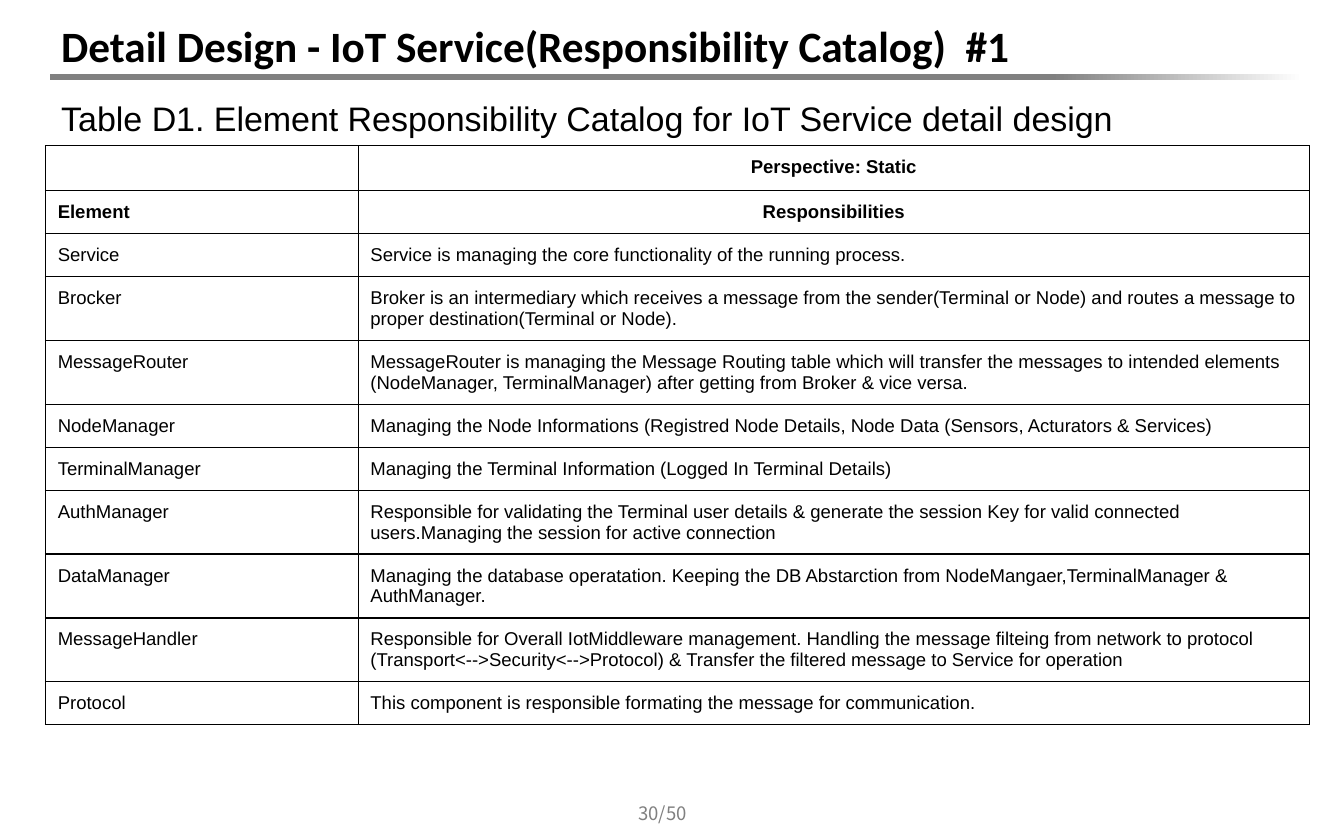
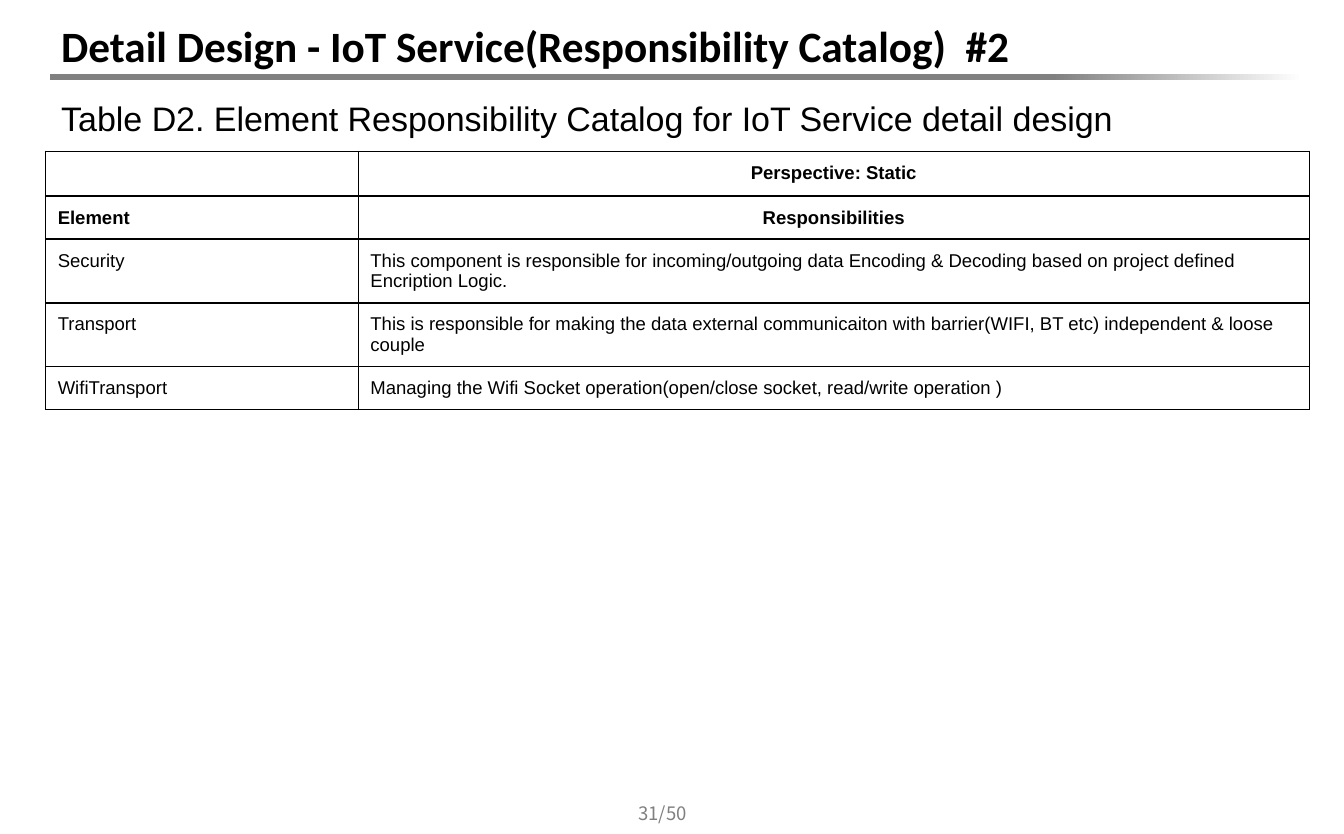
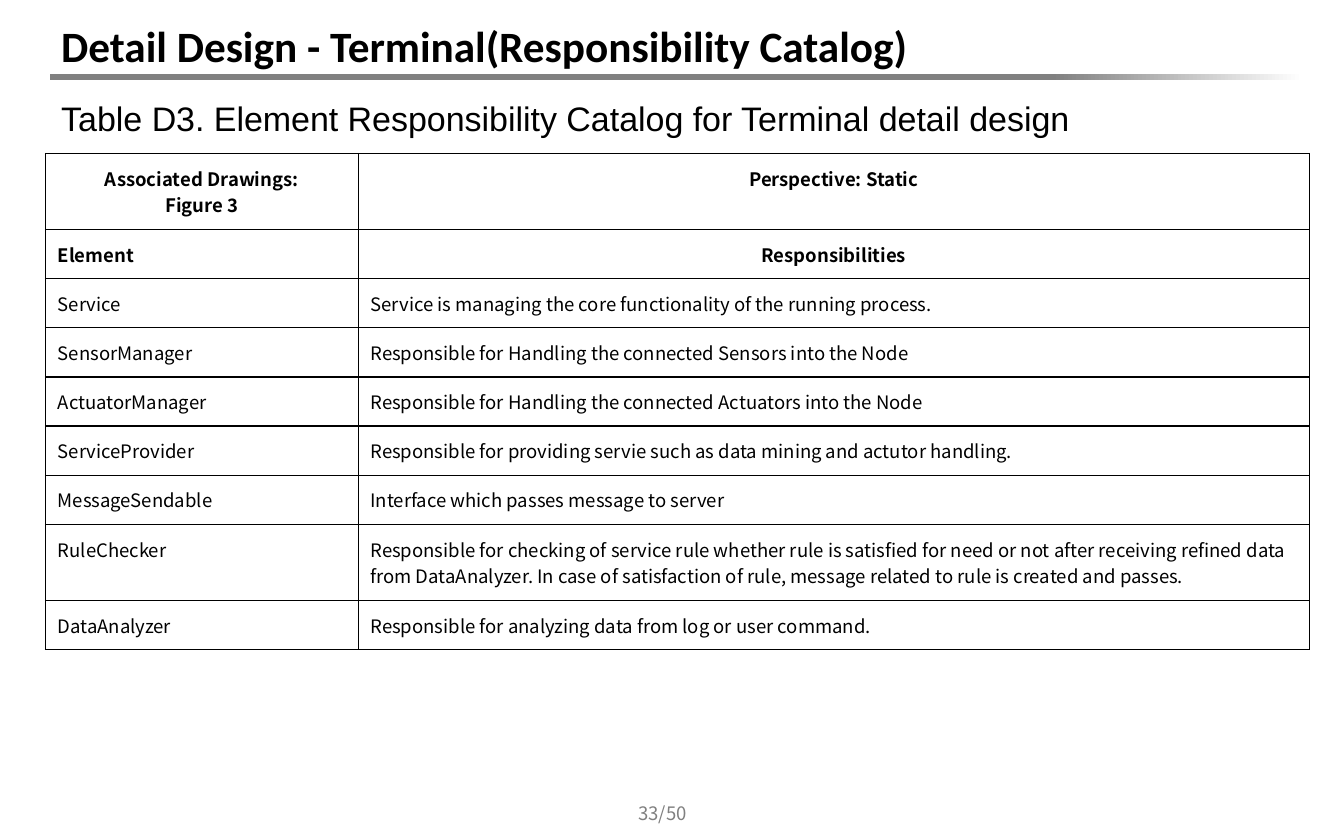
from copy import deepcopy
from dataclasses import dataclass

from lxml.etree import SubElement
from pptx import Presentation
from pptx.dml.color import RGBColor
from pptx.enum.shapes import MSO_SHAPE as Preset
from pptx.enum.text import MSO_ANCHOR as Anchor, PP_ALIGN as Align
from pptx.oxml.ns import qn
from pptx.util import Inches, Pt

WIDTH, HEIGHT = Inches(12.08), Inches(7.5)
INK, GRAY, PAPER = "000000", "808080", "FFFFFF"
SANS, TITLE_FONT, KOREAN = "Arial", "Calibri", "Noto Sans CJK KR"
PAGE_TOTAL = 50
CELL_SIZE = 12
ELEMENT_SHARE = 24.74
FIRST_ROW, OTHER_ROW = 5.33, 3.33


@dataclass(frozen=True)
class Box:
    """Shares of the slide's width and height, in percent."""
    left: float
    top: float
    width: float
    height: float

    def lengths(self) -> tuple[int, int, int, int]:
        return (across(self.left), down(self.top),
                across(self.width), down(self.height))


@dataclass(frozen=True)
class Catalog:
    title: str
    caption: str
    page: int
    top: float
    font: str
    drawings: str
    duties: tuple[tuple[str, str], ...]


TITLE_BOX = Box(3.73, 1.87, 93.21, 7.2)
RULE_BOX = Box(3.73, 8.93, 93.21, 0.67)
CAPTION_BOX = Box(3.73, 11.07, 93.21, 84.27)
PAGE_BOX = Box(44.78, 95.87, 9.02, 3.2)

SERVICE_DUTY = ("Service", "Service is managing the core functionality of the running process.")

CATALOGS = (
    Catalog(
        "Detail Design - IoT Service(Responsibility Catalog)  #1",
        "Table D1. Element Responsibility Catalog for IoT Service detail design",
        30, 17.47, SANS, "",
        (
            SERVICE_DUTY,
            ("Brocker", "Broker is an intermediary which receives a message from the sender(Terminal or Node) "
             "and routes a message to proper destination(Terminal or Node)."),
            ("MessageRouter", "MessageRouter is managing the Message Routing table which will transfer the messages "
             "to intended elements (NodeManager, TerminalManager) after getting from Broker & vice versa."),
            ("NodeManager", "Managing the Node Informations (Registred Node Details, "
             "Node Data (Sensors, Acturators & Services)"),
            ("TerminalManager", "Managing the Terminal Information (Logged In Terminal Details)"),
            ("AuthManager", "Responsible for validating the Terminal user details & generate the session Key "
             "for valid connected users.Managing the session for active connection"),
            ("DataManager", "Managing the database operatation. Keeping the DB Abstarction from "
             "NodeMangaer,TerminalManager & AuthManager."),
            ("MessageHandler", "Responsible for Overall IotMiddleware management. Handling the message filteing "
             "from network to protocol (Transport<-->Security<-->Protocol) & Transfer the filtered message "
             "to Service for operation"),
            ("Protocol", "This component is responsible formating the message for communication."),
        ),
    ),
    Catalog(
        "Detail Design - IoT Service(Responsibility Catalog)  #2",
        "Table D2. Element Responsibility Catalog for IoT Service detail design",
        31, 18.13, SANS, "",
        (
            ("Security", "This component is responsible for incoming/outgoing data Encoding & Decoding "
             "based on project defined Encription Logic."),
            ("Transport", "This is responsible for making the data external communicaiton with "
             "barrier(WIFI, BT etc) independent & loose couple"),
            ("WifiTransport", "Managing the Wifi Socket operation(open/close socket, read/write operation )"),
        ),
    ),
    Catalog(
        "Detail Design - Terminal(Responsibility Catalog)",
        "Table D3. Element Responsibility Catalog for Terminal detail design",
        33, 18.4, KOREAN, "Associated Drawings:\nFigure 3",
        (
            SERVICE_DUTY,
            ("SensorManager", "Responsible for Handling the connected Sensors into the Node"),
            ("ActuatorManager", "Responsible for Handling the connected Actuators into the Node"),
            ("ServiceProvider", "Responsible for providing servie such as data mining and actutor handling."),
            ("MessageSendable", "Interface which passes message to server"),
            ("RuleChecker", "Responsible for checking of service rule whether rule is satisfied for need or not "
             "after receiving refined data from DataAnalyzer. In case of satisfaction of rule, "
             "message related to rule is created and passes."),
            ("DataAnalyzer", "Responsible for analyzing data from log or user command."),
        ),
    ),
)


def across(share: float) -> int:
    return round(WIDTH * share / 100)


def down(share: float) -> int:
    return round(HEIGHT * share / 100)


def color(value: str) -> RGBColor:
    return RGBColor.from_string(value)


def place(holder, box: Box) -> None:
    holder.left, holder.top, holder.width, holder.height = box.lengths()


def write(frame, text: str, *, size: float, font: str, ink: str = INK,
          bold: bool = False, align: Align = Align.LEFT) -> None:
    frame.word_wrap = True
    for number, line in enumerate(text.split("\n")):
        paragraph = frame.add_paragraph() if number else frame.paragraphs[0]
        paragraph.alignment = align
        if not line:
            SubElement(paragraph._p, qn("a:endParaRPr"), sz=str(size * 100))
            continue
        run = paragraph.add_run()
        run.text = line
        run.font.size = Pt(size)
        run.font.name = font
        run.font.bold = bold
        run.font.color.rgb = color(ink)


def set_insets(target, side: float, end: float) -> None:
    target.margin_left = target.margin_right = Inches(side)
    target.margin_top = target.margin_bottom = Inches(end)


def outline(cell) -> None:
    properties = cell._tc.get_or_add_tcPr()
    for position, edge in enumerate(("a:lnL", "a:lnR", "a:lnT", "a:lnB")):
        line = SubElement(properties, qn(edge), w=str(Pt(1)))
        SubElement(SubElement(line, qn("a:solidFill")), qn("a:srgbClr"), val=INK)
        properties.insert(position, line)


def prepare_layout(layout, slide) -> None:
    title, caption = layout.placeholders[0], layout.placeholders[1]
    place(title, TITLE_BOX)
    place(caption, CAPTION_BOX)
    set_insets(title.text_frame, 0.1, 0.1)
    title.text_frame.vertical_anchor = Anchor.MIDDLE

    rule = slide.shapes.add_shape(Preset.FLOWCHART_PROCESS, *RULE_BOX.lengths())
    rule.shadow.inherit = False
    rule.line.fill.background()
    rule.fill.gradient()
    rule.fill.gradient_angle = 0
    for stop, value in zip(rule.fill.gradient_stops, (GRAY, PAPER)):
        stop.color.rgb = color(value)
    stops = rule._element.find(".//" + qn("a:gsLst"))
    gray_end = deepcopy(stops[0])
    gray_end.set("pos", "80000")
    stops.insert(1, gray_end)
    layout.shapes._spTree.insert(2, rule._element)


def add_catalog_table(slide, catalog: Catalog) -> None:
    rows = ((catalog.drawings, "Perspective: Static"),
            ("Element", "Responsibilities"), *catalog.duties)
    heights = [FIRST_ROW] + [OTHER_ROW] * (len(rows) - 1)
    box = Box(3.39, catalog.top, 94.04, sum(heights))
    table = slide.shapes.add_table(len(rows), 2, *box.lengths()).table
    table.first_row = table.horz_banding = False
    for column, share in zip(table.columns, (ELEMENT_SHARE, 100 - ELEMENT_SHARE)):
        column.width = across(box.width * share / 100)
    for row_number, (texts, height) in enumerate(zip(rows, heights)):
        table.rows[row_number].height = down(height)
        heading = row_number < 2
        for column_number, text in enumerate(texts):
            cell = table.cell(row_number, column_number)
            centered = row_number == 0 or (heading and column_number == 1)
            cell.fill.background()
            set_insets(cell, 0.11, 0.1)
            outline(cell)
            write(cell.text_frame, text, size=CELL_SIZE, font=catalog.font, bold=heading,
                  align=Align.CENTER if centered else Align.LEFT)


def fill_slide(slide, catalog: Catalog) -> None:
    write(slide.shapes.title.text_frame, catalog.title, size=28, font=TITLE_FONT, bold=True)
    caption = slide.placeholders[1].text_frame
    write(caption, catalog.caption, size=22, font=SANS)
    caption_format = caption.paragraphs[0]._p.get_or_add_pPr()
    caption_format.set("marL", "0")
    caption_format.set("indent", "0")
    SubElement(caption_format, qn("a:buNone"))

    add_catalog_table(slide, catalog)

    page = slide.shapes.add_textbox(*PAGE_BOX.lengths()).text_frame
    page.vertical_anchor = Anchor.MIDDLE
    write(page, f"{catalog.page}/{PAGE_TOTAL}", size=12, font=KOREAN, ink=GRAY, align=Align.CENTER)


def main() -> None:
    deck = Presentation()
    deck.slide_width, deck.slide_height = WIDTH, HEIGHT
    layout = deck.slide_layouts[1]
    slides = [deck.slides.add_slide(layout) for _ in CATALOGS]
    prepare_layout(layout, slides[0])
    for slide, catalog in zip(slides, CATALOGS):
        fill_slide(slide, catalog)
    deck.save("out.pptx")


if __name__ == "__main__":
    main()
